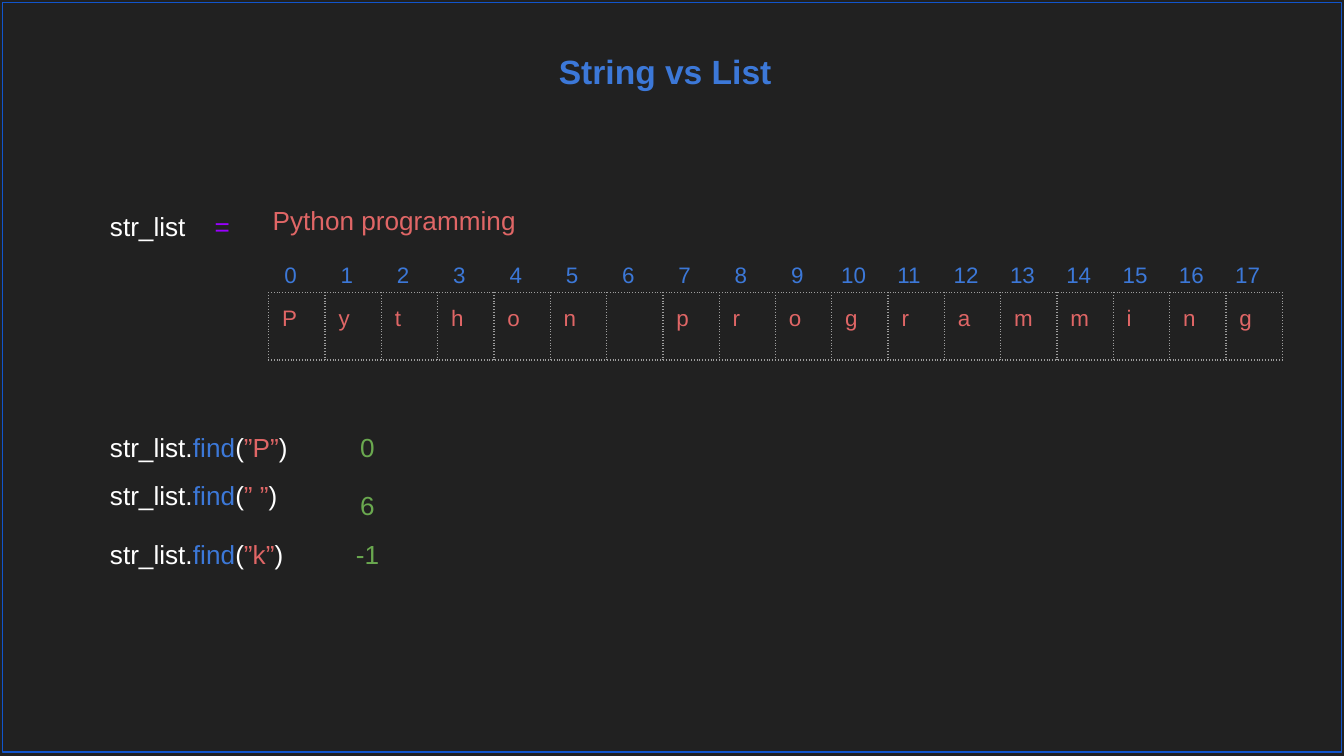
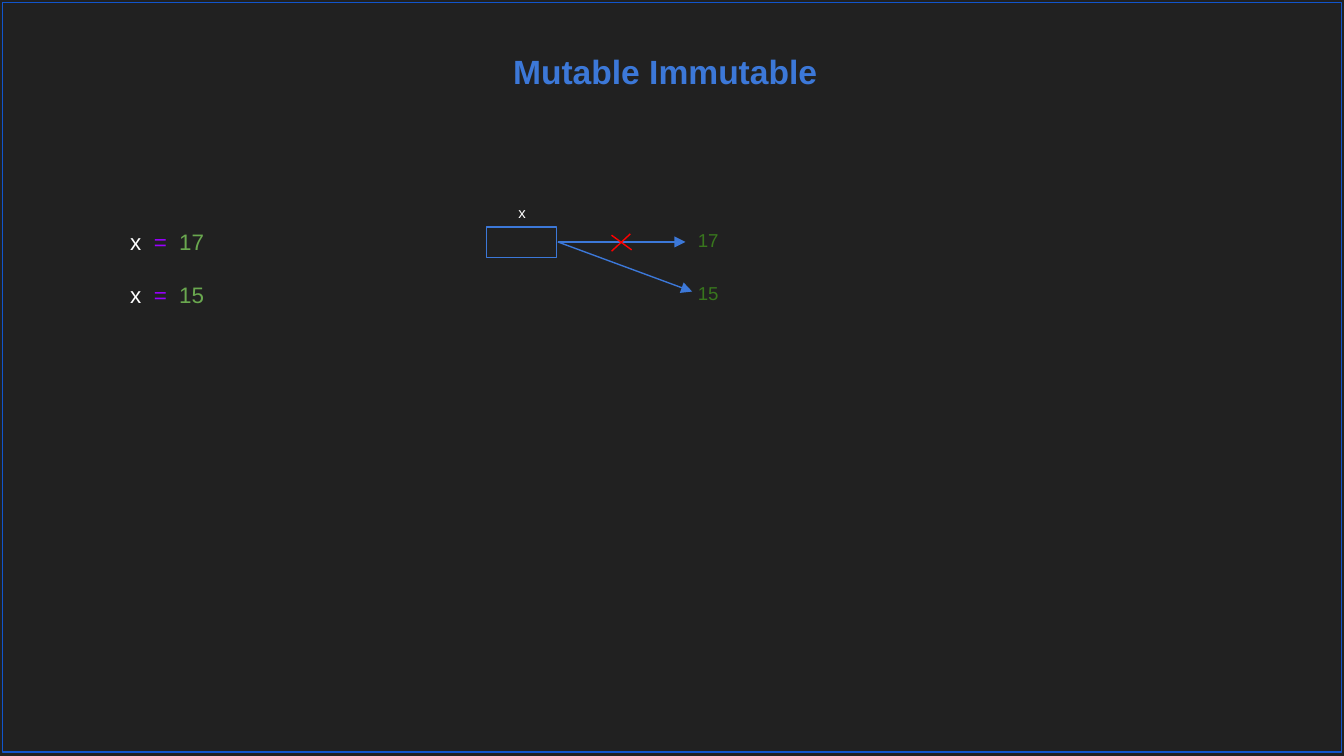
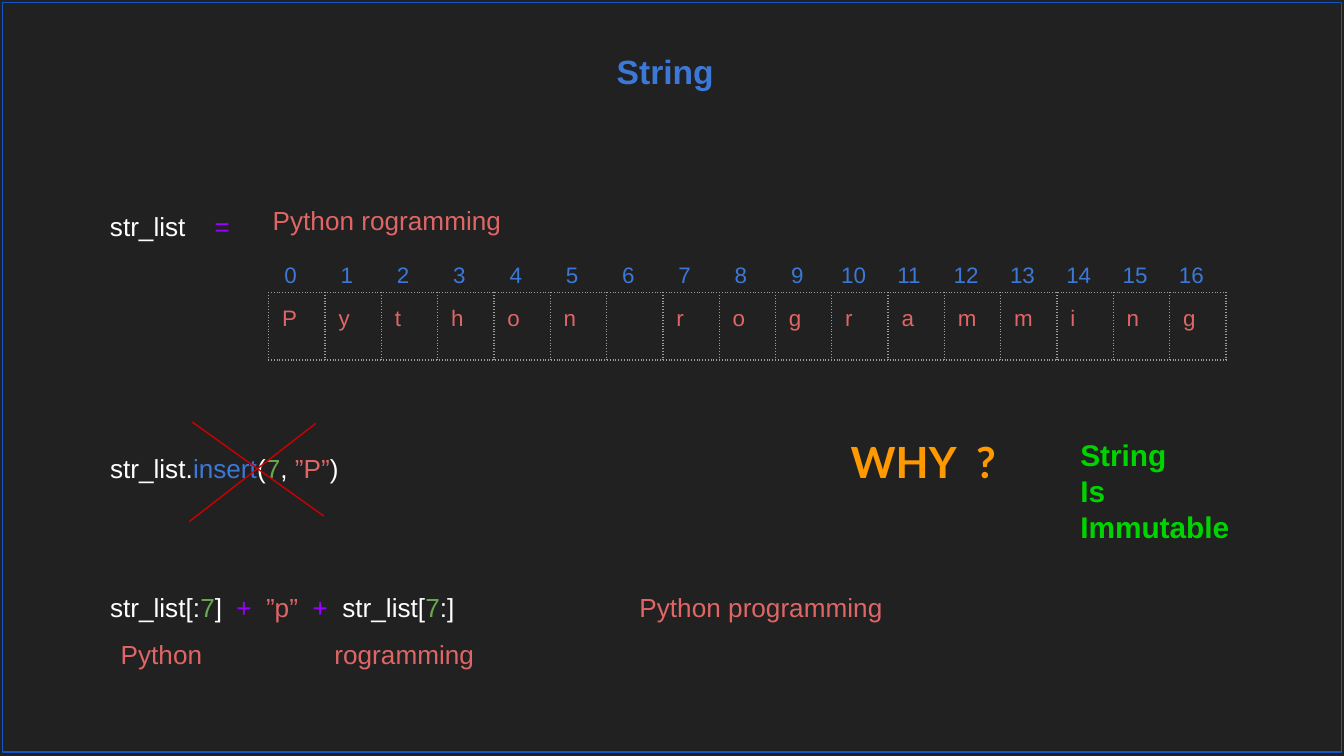
from dataclasses import dataclass

from lxml.etree import SubElement
from pptx import Presentation
from pptx.dml.color import RGBColor
from pptx.enum.shapes import MSO_CONNECTOR as Connector, MSO_SHAPE as Preset
from pptx.enum.text import MSO_ANCHOR as Anchor, MSO_AUTO_SIZE as AutoSize, PP_ALIGN as Align
from pptx.oxml.ns import qn
from pptx.util import Pt


@dataclass(frozen=True)
class Theme:
    background: str = "212121"
    frame: str = "1155CC"
    blue: str = "3C78D8"
    white: str = "FFFFFF"
    operator: str = "9900FF"
    string: str = "E06666"
    number: str = "6AA84F"
    value: str = "38761D"
    strike: str = "FF0000"
    wrong: str = "CC0000"
    question: str = "FF9900"
    answer: str = "00D400"
    grid: str = "9E9E9E"
    font: str = "Arial"
    question_font: str = "Lato"
    title_size: float = 18
    code_size: float = 14
    cell_size: float = 12
    value_size: float = 10
    label_size: float = 8
    question_size: float = 23
    answer_size: float = 16
    line_width: float = 0.75
    inset: float = 7.2


THEME = Theme()
SLIDE_WIDTH, SLIDE_HEIGHT = 720, 405
CODE_LEFT, CODE_HEIGHT = 51.84, 31.68
COLUMN_WIDTH = 30.18
DIGIT_INDENT = 3.33

FIND_CALLS = [
    ("”P”", 223.9, "0", 185.8, 223.9),
    ("” ”", 249.8, "6", 185.8, 254.9),
    ("”k”", 281.5, "-1", 183.6, 281.5),
]

ASSIGNED = [("17", 115.2, 116.6), ("15", 143.3, 144.7)]
VARIABLE_BOX = (260.7, 121.7, 37.5, 16.2)
ARROW_START = (298.8, 129.6)
ARROW_ENDS = [(367.2, 129.6), (370.8, 156.2)]
VALUE_CROSS = [((327.6, 126), (338.4, 133.9)), ((337.7, 125.3), (327.6, 134.6))]

INSERT_CALL = [
    ("str_list.", "white"), ("insert", "blue"), ("(", "white"), ("7", "number"),
    (", ", "white"), ("”P”", "string"), (")", "white"),
]
INSERT_CROSS = [((169.2, 226.8), (101.5, 279.4)), ((103, 226.1), (173.5, 276.5))]
CONCATENATION = [
    ("str_list[:", "white"), ("7", "number"), ("]\t", "white"), ("+\t", "operator"),
    ("”p”\t", "string"), ("+\t", "operator"), ("str_list[", "white"),
    ("7", "number"), (":]", "white"),
]
CONCATENATION_TABS = [67.7, 83.6, 108.5, 124.5]
STRING_PARTS = [
    ("Python programming", 335.5, 309.6, 155.5),
    ("Python", 57.6, 334.8, 67.7),
    ("rogramming", 172.1, 334.8, 98.6),
]
ANSWER = ["String", "Is", "Immutable"]


def color(name):
    return RGBColor.from_string(getattr(THEME, name))


def add_runs(paragraph, runs, size, font=THEME.font, bold=False):
    for text, color_name in runs:
        run = paragraph.add_run()
        run.text = text
        run.font.name = font
        run.font.size = Pt(size)
        run.font.bold = bold
        run.font.color.rgb = color(color_name)


def add_tabs(paragraph, positions):
    tab_list = SubElement(paragraph._p.get_or_add_pPr(), qn("a:tabLst"))
    for position in positions:
        SubElement(tab_list, qn("a:tab"), pos=str(Pt(position)), algn="l")


def add_text(slide, left, top, width, height, lines, size=THEME.code_size,
             align=Align.LEFT, tabs=(), grow=True, **style):
    box = slide.shapes.add_textbox(Pt(left), Pt(top), Pt(width), Pt(height))
    frame = box.text_frame
    frame.word_wrap = True
    frame.auto_size = AutoSize.SHAPE_TO_FIT_TEXT if grow else AutoSize.NONE
    frame.vertical_anchor = Anchor.TOP
    frame.margin_left = frame.margin_right = Pt(THEME.inset)
    frame.margin_top = frame.margin_bottom = Pt(THEME.inset)
    for number, runs in enumerate(lines):
        paragraph = frame.add_paragraph() if number else frame.paragraphs[0]
        if tabs:
            add_tabs(paragraph, tabs)
        paragraph.alignment = align
        add_runs(paragraph, runs, size, **style)


def add_code(slide, left, top, width, runs, tabs=()):
    add_text(slide, left, top, width, CODE_HEIGHT, [runs], tabs=tabs)


def add_outline(slide, left, top, width, height, color_name):
    shape = slide.shapes.add_shape(Preset.RECTANGLE, Pt(left), Pt(top), Pt(width), Pt(height))
    shape.shadow.inherit = False
    shape.fill.background()
    shape.line.color.rgb = color(color_name)
    shape.line.width = Pt(THEME.line_width)


def add_line(slide, start, end, color_name, arrow=False):
    line = slide.shapes.add_connector(Connector.STRAIGHT, *map(Pt, start + end))
    line.line.color.rgb = color(color_name)
    line.line.width = Pt(THEME.line_width)
    if arrow:
        SubElement(line.line._get_or_add_ln(), qn("a:tailEnd"), type="triangle")
    SubElement(line._element.spPr, qn("a:effectLst"))


def set_borders(cell, visible):
    properties = cell._tc.get_or_add_tcPr()
    for side in ("a:lnL", "a:lnR", "a:lnT", "a:lnB"):
        border = SubElement(properties, qn(side), w=str(Pt(THEME.line_width)))
        if visible:
            fill = SubElement(border, qn("a:solidFill"))
            SubElement(fill, qn("a:srgbClr"), val=THEME.grid)
            SubElement(border, qn("a:prstDash"), val="dot")
        else:
            SubElement(border, qn("a:noFill"))


def add_row(slide, left, top, height, texts, color_name, bordered=False, indent=0):
    table = slide.shapes.add_table(
        1, len(texts), Pt(left), Pt(top), Pt(COLUMN_WIDTH * len(texts)), Pt(height)
    ).table
    table.first_row = table.horz_banding = False
    for column, cell, text in zip(table.columns, table.iter_cells(), texts):
        column.width = Pt(COLUMN_WIDTH)
        set_borders(cell, bordered)
        cell.fill.background()
        cell.margin_left = Pt(THEME.inset + (indent if len(text) == 1 else 0))
        cell.margin_right = cell.margin_top = cell.margin_bottom = Pt(THEME.inset)
        if text.strip():
            add_runs(cell.text_frame.paragraphs[0], [(text, color_name)], THEME.cell_size)


def add_indexed_string(slide, text):
    add_code(slide, 139, 102.2, 155.5, [(text, "string")])
    add_row(slide, 144, 156.8, 36, list(text), "string", bordered=True)
    indexes = [str(index) for index in range(len(text))]
    add_row(slide, 141.8, 134, 28.5, indexes, "blue", indent=DIGIT_INDENT)
    add_code(slide, CODE_LEFT, 105.8, 84.2, [("str_list\t", "white"), ("=", "operator")], [56])


def draw_find(slide):
    add_indexed_string(slide, "Python programming")
    for argument, top, result, result_left, result_top in FIND_CALLS:
        call = [("str_list.", "white"), ("find", "blue"), ("(", "white"),
                (argument, "string"), (")", "white")]
        add_code(slide, CODE_LEFT, top, 131.8, call)
        add_code(slide, result_left, result_top, 40, [(result, "number")])


def draw_rebinding(slide):
    add_outline(slide, *VARIABLE_BOX, "blue")
    add_text(slide, 267.8, 104.4, 23.8, 24.5, [[("x", "white")]], THEME.label_size, Align.CENTER)
    for value, code_top, value_top in ASSIGNED:
        assignment = [("x\t", "white"), ("=\t", "operator"), (value, "number")]
        add_text(slide, 62.6, code_top, 135.4, 28.8, [assignment], THEME.cell_size,
                 tabs=[12.7, 26.3])
        add_text(slide, 361.4, value_top, 36, 26.6, [[(value, "value")]],
                 THEME.value_size, Align.CENTER)
    for end in ARROW_ENDS:
        add_line(slide, ARROW_START, end, "blue", arrow=True)
    for start, end in VALUE_CROSS:
        add_line(slide, start, end, "strike")


def draw_immutable(slide):
    add_indexed_string(slide, "Python rogramming")
    add_code(slide, CODE_LEFT, 235.4, 217.4, INSERT_CALL)
    for start, end in INSERT_CROSS:
        add_line(slide, start, end, "wrong")
    add_code(slide, CODE_LEFT, 309.6, 212.4, CONCATENATION, CONCATENATION_TABS)
    for text, left, top, width in STRING_PARTS:
        add_code(slide, left, top, width, [(text, "string")])
    add_text(slide, 448.6, 226.1, 115.2, 42.5, [[("WHY\t?", "question")]],
             THEME.question_size, tabs=[67.2], font=THEME.question_font, bold=True)
    add_text(slide, 571.7, 226.8, 121, 72.7, [[(line, "answer")] for line in ANSWER],
             THEME.answer_size, bold=True)


SLIDES = [
    ("String vs List", draw_find),
    ("Mutable Immutable", draw_rebinding),
    ("String", draw_immutable),
]


def main():
    presentation = Presentation()
    presentation.slide_width, presentation.slide_height = Pt(SLIDE_WIDTH), Pt(SLIDE_HEIGHT)
    for title, draw in SLIDES:
        slide = presentation.slides.add_slide(presentation.slide_layouts[6])
        slide.background.fill.solid()
        slide.background.fill.fore_color.rgb = color("background")
        add_text(slide, -3.6, 20.2, SLIDE_WIDTH, 45.4, [[(title, "blue")]],
                 THEME.title_size, Align.CENTER, grow=False, bold=True)
        draw(slide)
        add_outline(slide, 1.4, 1.4, SLIDE_WIDTH - 2.8, SLIDE_HEIGHT - 3.6, "frame")
    presentation.save("out.pptx")


if __name__ == "__main__":
    main()
